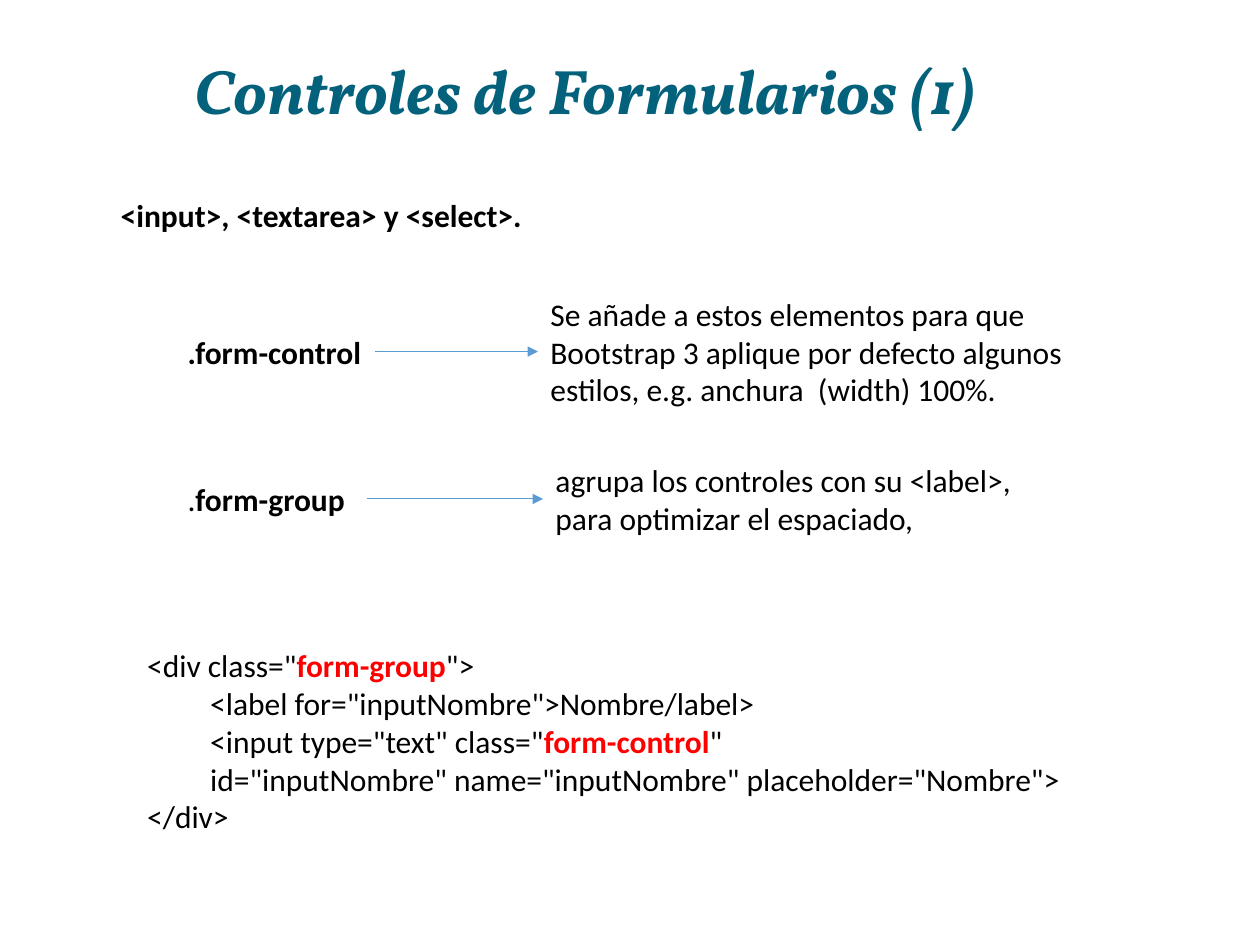
from dataclasses import dataclass

from lxml import etree
from pptx import Presentation
from pptx.dml.color import RGBColor
from pptx.enum.shapes import MSO_CONNECTOR
from pptx.enum.text import MSO_ANCHOR, MSO_AUTO_SIZE, PP_ALIGN
from pptx.oxml.ns import qn
from pptx.util import Inches, Pt

STRAIGHT = MSO_CONNECTOR.STRAIGHT
MIDDLE = MSO_ANCHOR.MIDDLE
CENTER = PP_ALIGN.CENTER
FIT_SHAPE = MSO_AUTO_SIZE.SHAPE_TO_FIT_TEXT
NO_FIT = MSO_AUTO_SIZE.NONE
LEFT_SIDE, RIGHT_SIDE = 1, 3
LINE_BREAK = "\v"


@dataclass(frozen=True)
class Theme:
    title_font: str = "Vollkorn"
    body_font: str = "Calibri"
    title_size: int = 36
    body_size: int = 18
    title_color: str = "04617B"
    text_color: str = "000000"
    accent_color: str = "FF0000"
    arrow_color: str = "5B9BD5"
    arrow_width: float = 0.5


THEME = Theme()
LABEL_LEFT = 1.39
LINE_HEIGHT = 0.3
BOX_PADDING = 0.1


def plain(text):
    return text, False, THEME.text_color


def bold(text):
    return text, True, THEME.text_color


def accent(text):
    return text, True, THEME.accent_color


def style_font(font, name, size, color, is_bold):
    font.name = name
    font.size = Pt(size)
    font.color.rgb = RGBColor.from_string(color)
    font.bold = is_bold


def add_title(page, text):
    title = page.shapes.title
    title.left, title.top = Inches(0.69), Inches(0.4)
    title.width, title.height = Inches(7.91), Inches(0.7)
    frame = title.text_frame
    frame.text = text
    frame.vertical_anchor = MIDDLE
    frame.auto_size = NO_FIT
    para = frame.paragraphs[0]
    para.alignment = CENTER
    para.line_spacing = 0.9
    font = para.runs[0].font
    style_font(font, THEME.title_font, THEME.title_size, THEME.title_color, True)
    font.italic = True


def add_text(page, left, top, width, lines, line_count=1, wrap=True):
    """Add a text box; each line is (indent level, list of styled spans)."""
    height = LINE_HEIGHT * line_count + BOX_PADDING
    box = page.shapes.add_textbox(
        Inches(left), Inches(top), Inches(width), Inches(height))
    frame = box.text_frame
    frame.word_wrap = wrap
    frame.auto_size = FIT_SHAPE
    for index, (level, spans) in enumerate(lines):
        para = frame.add_paragraph() if index else frame.paragraphs[0]
        para.level = level
        for text, is_bold, color in spans:
            if text == LINE_BREAK:
                para.add_line_break()
                continue
            span = para.add_run()
            span.text = text
            style_font(span.font, THEME.body_font, THEME.body_size, color, is_bold)
    return box


def add_arrow(page, source, target):
    arrow = page.shapes.add_connector(STRAIGHT, 0, 0, 0, 0)
    arrow.begin_connect(source, RIGHT_SIDE)
    arrow.end_connect(target, LEFT_SIDE)
    arrow.line.color.rgb = RGBColor.from_string(THEME.arrow_color)
    arrow.line.width = Pt(THEME.arrow_width)
    etree.SubElement(arrow.line._get_or_add_ln(), qn("a:tailEnd"), type="triangle")
    etree.SubElement(arrow._element.spPr, qn("a:effectLst"))


def add_definition(page, middle, label, label_width, meaning, left, width, line_count):
    """Add a label and its meaning, both centred on middle, with an arrow between."""
    def top_for(count):
        return middle - (LINE_HEIGHT * count + BOX_PADDING) / 2

    label_box = add_text(page, LABEL_LEFT, top_for(1), label_width,
                         [(0, label)], wrap=False)
    meaning_box = add_text(page, left, top_for(line_count), width,
                           [(0, [plain(meaning)])], line_count)
    add_arrow(page, label_box, meaning_box)


def main():
    deck = Presentation()
    deck.slide_width, deck.slide_height = Inches(10), Inches(7.5)
    page = deck.slides.add_slide(deck.slide_layouts[5])

    add_title(page, "Controles de Formularios (1)")
    add_text(page, 0.86, 1.51, 3.41,
             [(0, [bold("<input>, <textarea> y <select>.")])], wrap=False)
    add_definition(
        page, 2.79, [bold(".form-control")], 1.59,
        "Se añade a estos elementos para que Bootstrap 3 aplique por defecto "
        "algunos estilos, e.g. anchura  (width) 100%.", 4.27, 4.46, 3)
    add_definition(
        page, 3.96, [plain("."), bold("form-group")], 1.52,
        "agrupa los controles con su <label>, para optimizar el espaciado,",
        4.31, 3.89, 2)
    add_text(page, 1.07, 5.08, 7.54, [
        (0, [plain('<div class="'), accent("form-group"), plain('">')]),
        (1, [plain('<label for="inputNombre">Nombre/label>')]),
        (1, [plain('<input type="text" class="'), accent("form-control"),
             plain('" '), plain(LINE_BREAK),
             plain('id="inputNombre" name="inputNombre" placeholder="Nombre">')]),
        (0, [plain("</div>")]),
    ], line_count=5)

    deck.save("out.pptx")


if __name__ == "__main__":
    main()
